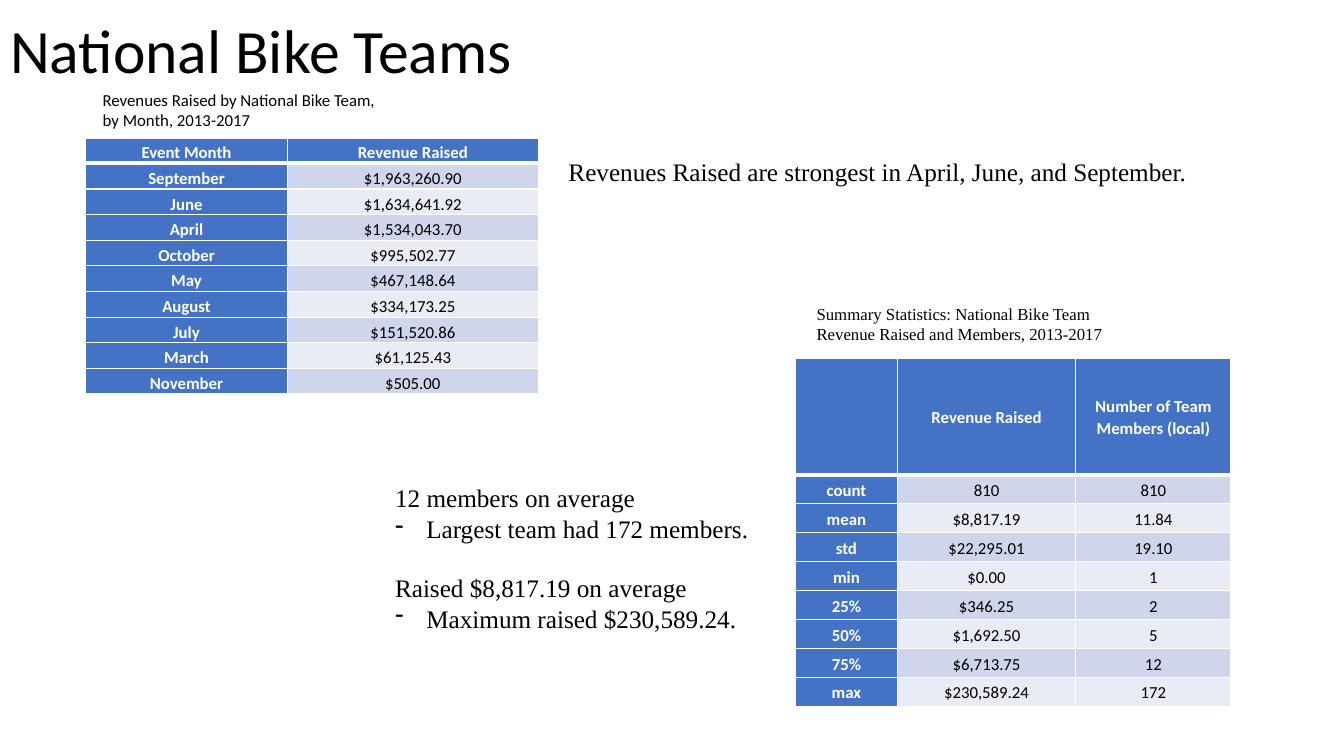
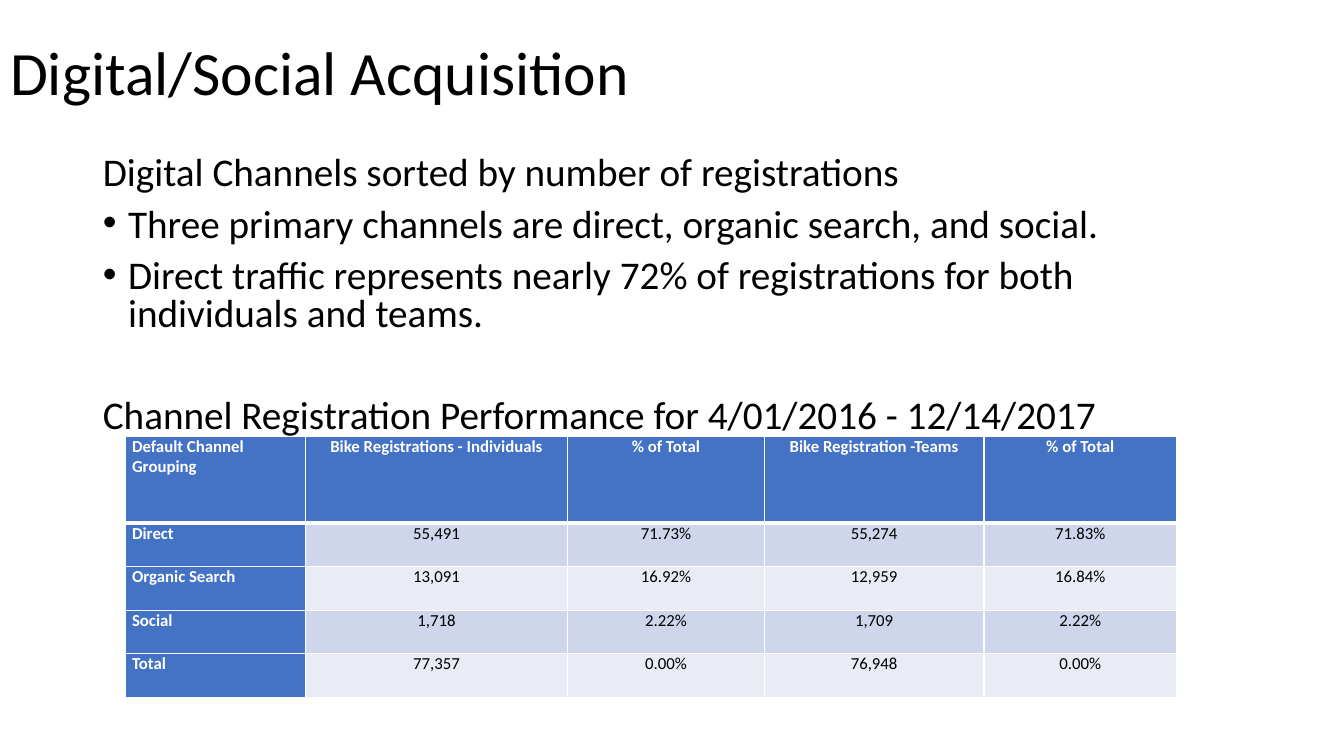
from pptx import Presentation
from pptx.dml.color import RGBColor
from pptx.enum.text import MSO_ANCHOR, MSO_AUTO_SIZE, PP_ALIGN
from pptx.oxml import parse_xml
from pptx.oxml.ns import nsdecls
from pptx.util import Inches, Pt

BLACK = RGBColor(0x00, 0x00, 0x00)
WHITE = RGBColor(0xFF, 0xFF, 0xFF)
HEADER_BLUE = RGBColor(0x44, 0x72, 0xC4)
BAND_DARK = RGBColor(0xCF, 0xD5, 0xEA)
BAND_LIGHT = RGBColor(0xE9, 0xEB, 0xF5)
SANS = "Calibri"
SERIF = "Times New Roman"
TITLE_ONLY = 5
TITLE_AND_CONTENT = 1
WIDE_INSETS = (0.07, 0, 0.07, 0)
THIN_INSETS = (0.01, 0.01, 0.01, 0)

REVENUE_ROWS = [
    ("Event Month", "Revenue Raised"),
    ("September", "$1,963,260.90"),
    ("June", "$1,634,641.92"),
    ("April", "$1,534,043.70"),
    ("October", "$995,502.77"),
    ("May", "$467,148.64"),
    ("August", "$334,173.25"),
    ("July", "$151,520.86"),
    ("March", "$61,125.43"),
    ("November", "$505.00"),
]
SUMMARY_ROWS = [
    ("", "Revenue Raised", "Number of Team Members (local)"),
    ("count", "810", "810"),
    ("mean", "$8,817.19", "11.84"),
    ("std", "$22,295.01", "19.10"),
    ("min", "$0.00", "1"),
    ("25%", "$346.25", "2"),
    ("50%", "$1,692.50", "5"),
    ("75%", "$6,713.75", "12"),
    ("max", "$230,589.24", "172"),
]
CHANNEL_ROWS = [
    ("Default Channel Grouping", "Bike Registrations - Individuals", "% of Total",
     "Bike Registration -Teams", "% of Total"),
    ("Direct", "55,491", "71.73%", "55,274", "71.83%"),
    ("Organic Search", "13,091", "16.92%", "12,959", "16.84%"),
    ("Social", "1,718", "2.22%", "1,709", "2.22%"),
    ("Total", "77,357", "0.00%", "76,948", "0.00%"),
]


def place(shape, left, top, width, height):
    shape.left, shape.top = Inches(left), Inches(top)
    shape.width, shape.height = Inches(width), Inches(height)


def add_run(paragraph, text, size, font=SANS, color=BLACK, bold=False):
    run = paragraph.add_run()
    run.text = text
    run.font.size = Pt(size)
    run.font.name = font
    run.font.bold = bold
    run.font.color.rgb = color


def set_bullet(paragraph, bullet, indent):
    properties = paragraph._p.get_or_add_pPr()
    hanging = Inches(indent) if bullet else 0
    properties.set("marL", str(hanging))
    properties.set("indent", str(-hanging))
    if bullet:
        xml = f'<a:buChar {nsdecls("a")} char="{bullet}"/>'
    else:
        xml = f'<a:buNone {nsdecls("a")}/>'
    properties.append(parse_xml(xml))


def add_lines(frame, lines, size, font, indent=0, line_spacing=1.0):
    for index, (text, bullet, space_before) in enumerate(lines):
        paragraph = frame.add_paragraph() if index else frame.paragraphs[0]
        paragraph.alignment = PP_ALIGN.LEFT
        paragraph.line_spacing = line_spacing
        paragraph.space_before = Pt(space_before)
        set_bullet(paragraph, bullet, indent)
        add_run(paragraph, text, size, font)


def add_titled_slide(presentation, layout, title, box):
    slide = presentation.slides.add_slide(presentation.slide_layouts[layout])
    place(slide.shapes.title, *box)
    frame = slide.shapes.title.text_frame
    frame.auto_size = MSO_AUTO_SIZE.NONE
    frame.vertical_anchor = MSO_ANCHOR.MIDDLE
    paragraph = frame.paragraphs[0]
    paragraph.alignment = PP_ALIGN.LEFT
    paragraph.line_spacing = 0.9
    add_run(paragraph, title, 44)
    return slide


def add_text(slide, box, lines, size, font, indent=0):
    shape = slide.shapes.add_textbox(*map(Inches, box))
    shape.text_frame.word_wrap = True
    add_lines(shape.text_frame, lines, size, font, indent)


def set_borders(cell, top, bottom):
    properties = cell._tc.get_or_add_tcPr()
    for side, width in (("L", 1), ("R", 1), ("T", top), ("B", bottom)):
        properties.append(parse_xml(
            f'<a:ln{side} {nsdecls("a")} w="{Pt(width)}"><a:solidFill>'
            f'<a:srgbClr val="{WHITE}"/></a:solidFill></a:ln{side}>'))


def format_cell(cell, text, row, column, anchor, insets, line_spacing, label_align):
    is_label = row == 0 or column == 0
    set_borders(cell, 3 if row == 1 else 1, 3 if row == 0 else 1)
    cell.fill.solid()
    band = BAND_DARK if row % 2 else BAND_LIGHT
    cell.fill.fore_color.rgb = HEADER_BLUE if is_label else band
    cell.vertical_anchor = anchor
    (cell.margin_left, cell.margin_top,
     cell.margin_right, cell.margin_bottom) = map(Inches, insets)
    paragraph = cell.text_frame.paragraphs[0]
    paragraph.alignment = PP_ALIGN.CENTER if column else label_align
    paragraph.line_spacing = line_spacing
    if text:
        add_run(paragraph, text, 12, color=WHITE if is_label else BLACK, bold=is_label)


def add_data_table(slide, left, top, height, header_height, widths, rows, anchor,
                   insets, line_spacing=1.07, label_align=PP_ALIGN.CENTER):
    table = slide.shapes.add_table(
        len(rows), len(widths), Inches(left), Inches(top),
        Inches(sum(widths)), Inches(height)).table
    for column, width in zip(table.columns, widths):
        column.width = Inches(width)
    row_height = (height - header_height) / (len(rows) - 1)
    for row, values in enumerate(rows):
        table.rows[row].height = Inches(row_height if row else header_height)
        for column, text in enumerate(values):
            format_cell(table.cell(row, column), text, row, column,
                        anchor, insets, line_spacing, label_align)


def build_teams_slide(presentation):
    slide = add_titled_slide(presentation, TITLE_ONLY, "National Bike Teams",
                             (0, 0, 5.75, 1.07))
    add_data_table(slide, 0.85, 1.37, 2.54, 0.25, (2, 2.49), REVENUE_ROWS,
                   MSO_ANCHOR.BOTTOM, WIDE_INSETS)
    add_text(slide, (0.92, 0.84, 3.2, 0.5), [
        ("Revenues Raised by National Bike Team,", None, 0),
        ("by Month, 2013-2017", None, 0),
    ], 12, SANS)
    add_data_table(slide, 7.89, 3.56, 3.45, 1.15, (1.01, 1.77, 1.54), SUMMARY_ROWS,
                   MSO_ANCHOR.MIDDLE, THIN_INSETS)
    add_text(slide, (8, 2.96, 3.69, 0.5), [
        ("Summary Statistics: National Bike Team", None, 0),
        ("Revenue Raised and Members, 2013-2017", None, 0),
    ], 12, SERIF)
    add_text(slide, (3.82, 4.74, 6.67, 1.92), [
        ("12 members on average", None, 0),
        ("Largest team had 172 members.", "-", 0),
        ("Raised $8,817.19 on average", None, 21),
        ("Maximum raised $230,589.24.", "-", 0),
    ], 18, SERIF, 0.31)
    add_text(slide, (5.54, 1.5, 6.67, 0.4), [
        ("Revenues Raised are strongest in April, June, and September.", None, 0),
    ], 18, SERIF)


def build_acquisition_slide(presentation):
    slide = add_titled_slide(presentation, TITLE_AND_CONTENT,
                             "Digital/Social Acquisition", (0, 0.02, 11.5, 1.45))
    body = slide.placeholders[1]
    place(body, 0.92, 1.5, 11.5, 3.17)
    body.text_frame.auto_size = MSO_AUTO_SIZE.NONE
    add_lines(body.text_frame, [
        ("Digital Channels sorted by number of registrations", None, 10),
        ("Three primary channels are direct, organic search, and social.", "•", 10),
        ("Direct traffic represents nearly 72% of registrations for both "
         "individuals and teams.", "•", 10),
        ("Channel Registration Performance for 4/01/2016 - 12/14/2017", None, 46),
    ], 28, SANS, 0.25, 0.8)
    add_data_table(slide, 1.24, 4.33, 2.59, 0.86, (1.79, 2.6, 1.95, 2.18, 1.91),
                   CHANNEL_ROWS, MSO_ANCHOR.TOP, WIDE_INSETS, 1.0, PP_ALIGN.LEFT)


def main():
    presentation = Presentation()
    presentation.slide_width = Inches(13.33)
    presentation.slide_height = Inches(7.5)
    build_teams_slide(presentation)
    build_acquisition_slide(presentation)
    presentation.save("out.pptx")


if __name__ == "__main__":
    main()
